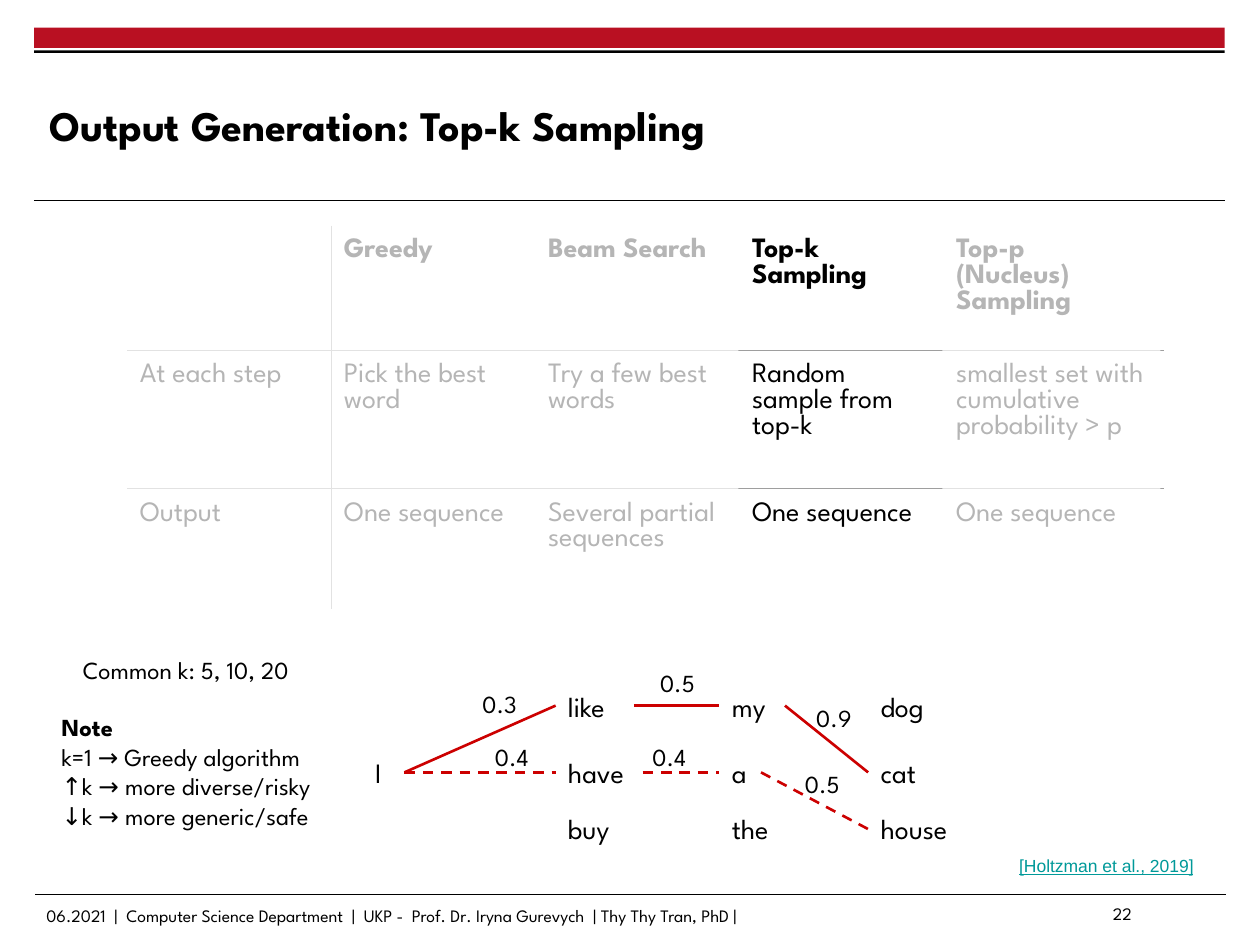
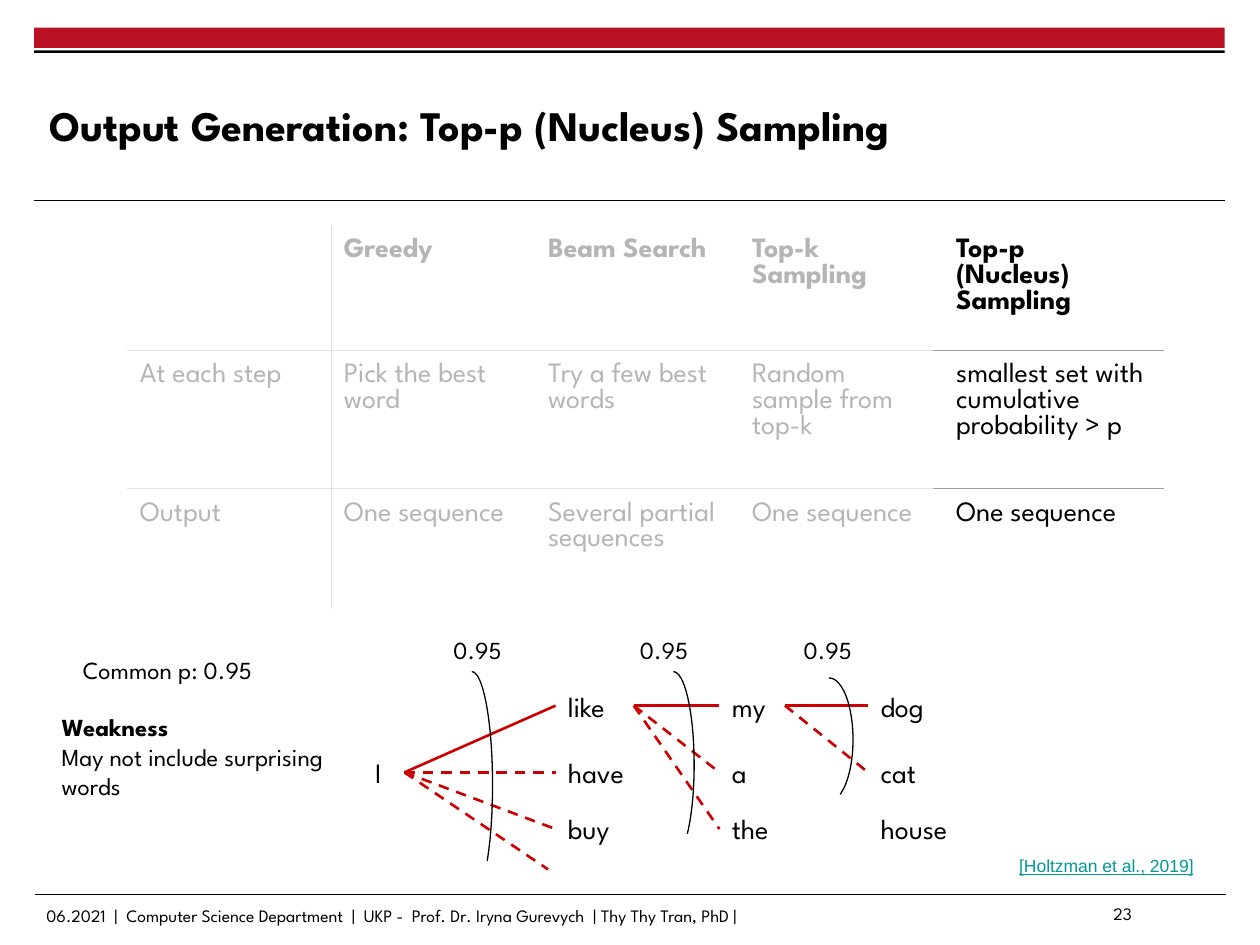
from dataclasses import dataclass

from lxml.etree import SubElement as Sub
from pptx import Presentation
from pptx.dml.color import RGBColor as RGB
from pptx.enum.dml import MSO_LINE as Dash
from pptx.enum.shapes import MSO_CONNECTOR as Conn, MSO_SHAPE as Shape
from pptx.enum.text import MSO_ANCHOR as Anchor, PP_ALIGN as Align
from pptx.oxml.ns import qn
from pptx.util import Inches, Pt


@dataclass(frozen=True)
class Theme:
    """Colours, fonts and type sizes of the deck."""
    ink: RGB = RGB(0, 0, 0)
    paper: RGB = RGB(255, 255, 255)
    band: RGB = RGB(0xB9, 0x10, 0x22)
    path_red: RGB = RGB(0xCC, 0, 0)
    cite: RGB = RGB(0, 0x99, 0x99)
    grid: str = "9E9E9E"
    face: str = "League Spartan"
    plain: str = "Arial"
    title: int = 24
    body: int = 16
    note: int = 14
    small: int = 10
    loose: float = 1.21
    tight: float = 0.92
    veil: int = 71


T = Theme()
FOOT = ("06.2021  |  Computer Science Department  |  UKP -  "
        "Prof. Dr. Iryna Gurevych  | Thy Thy Tran, PhD |")
COLS = [1.62] * 4 + [1.75]
ROWS = [0.99, 1.1, 0.95]
CELLS = [
    ["", "Greedy", "Beam Search", "Top-k Sampling", "Top-p\n(Nucleus) Sampling"],
    ["At each step", "Pick the best word", "Try a few best words",
     "Random sample from top-k", "smallest set with cumulative probability > p"],
    ["Output", "One sequence", "Several partial sequences", "One sequence",
     "One sequence"],
]
TOPS = [5.37, 5.89, 6.34]
WORDS = {
    4.41: [("like", 0.63), ("have", 0.7), ("buy", 0.57)],
    5.71: [("my", 0.52), ("a", 0.33), ("the", 0.73)],
    6.89: [("dog", 0.63), ("cat", 0.52), ("house", 0.88)],
}
HIGH, MID, LOW = 5.6, 6.13, 6.58
ROOT, LIKE, MY = (3.21, MID), (5.03, HIGH), (6.23, HIGH)


def box(at):
    """Turn a tuple of inches into lengths."""
    return [Inches(v) for v in at]


def style(para, size, bold=False, color=T.ink, face=T.face, ratio=T.loose):
    """Set the font and line height of a paragraph."""
    font = para.font
    font.name, font.size, font.bold = face, Pt(size), bold
    font.color.rgb = color
    if ratio:
        para.line_spacing = Pt(round(size * ratio, 1))


def text(slide, at, words, size, pad=(0.1, 0.1), head=False, **look):
    """Add a text box, with a bold first line if head is set."""
    frame = slide.shapes.add_textbox(*box(at)).text_frame
    frame.word_wrap = True
    frame.margin_left = frame.margin_right = Inches(pad[0])
    frame.margin_top = frame.margin_bottom = Inches(pad[1])
    frame.text = words
    for i, para in enumerate(frame.paragraphs):
        style(para, size, bold=head and i == 0, **look)
    return frame


def rect(slide, at, color, alpha=None):
    """Add a borderless rectangle, see-through if alpha is given."""
    item = slide.shapes.add_shape(Shape.RECTANGLE, *box(at))
    item.shadow.inherit = False
    item.line.fill.background()
    item.fill.solid()
    item.fill.fore_color.rgb = color
    if alpha:
        tint = item.fill._xPr.find(qn("a:solidFill"))[0]
        Sub(tint, qn("a:alpha"), val=str(alpha * 1000))


def line(slide, start, end, color=T.path_red, width=1.5, dash=False):
    """Add a straight line."""
    item = slide.shapes.add_connector(Conn.STRAIGHT, *box(start + end))
    Sub(item._element.spPr, qn("a:effectLst"))
    item.line.color.rgb = color
    item.line.width = Pt(width)
    if dash:
        item.line.dash_style = Dash.DASH


def arc(slide, at):
    """Add a thin arc that spans a set of branches."""
    item = slide.shapes.add_shape(Shape.ARC, *box(at))
    item.adjustments[0], item.adjustments[1] = 162, 47.115
    item.shadow.inherit = False
    item.fill.background()
    item.line.color.rgb = T.ink
    item.line.width = Pt(0.75)


def edges(cell, sides):
    """Draw the named sides of a cell and clear the others."""
    props = cell._tc.get_or_add_tcPr()
    for side in "LRTB":
        edge = Sub(props, qn(f"a:ln{side}"), w=str(Pt(0.75)))
        if side in sides:
            Sub(Sub(edge, qn("a:solidFill")), qn("a:srgbClr"), val=T.grid)
        else:
            Sub(edge, qn("a:noFill"))


def table(slide):
    """Add the table that compares the decoding methods."""
    size = (1.01, 1.79, sum(COLS), sum(ROWS))
    grid = slide.shapes.add_table(len(ROWS), len(COLS), *box(size)).table
    grid.first_row = grid.horz_banding = False
    for col, wide in zip(grid.columns, COLS):
        col.width = Inches(wide)
    for r, (row, tall) in enumerate(zip(grid.rows, ROWS)):
        row.height = Inches(tall)
        for c, cell in enumerate(row.cells):
            cell.margin_left = cell.margin_right = Inches(0.1)
            cell.margin_top = cell.margin_bottom = Inches(0.1)
            cell.text = CELLS[r][c]
            for para in cell.text_frame.paragraphs:
                style(para, T.body, bold=r == 0, ratio=T.tight)
            sides = ("T" if r else "") + ("B" if r < len(ROWS) - 1 else "")
            edges(cell, sides + {0: "R", 1: "L"}.get(c, ""))
            cell.fill.background()


def frame(slide, title, page):
    """Add the bands, rules, footer and title."""
    rect(slide, (0.27, 0.22, 9.45, 0.16), T.band)
    rect(slide, (0.27, 0.4, 9.45, 0.02), T.ink)
    for left, top in ((0.27, 1.59), (0.28, 7.1)):
        line(slide, (left, top), (left + 9.45, top), T.ink, 0.75)
    text(slide, (0.27, 7.13, 7.95, 0.27), FOOT, T.small, pad=(0.1, 0.05))
    num = text(slide, (8.06, 7.08, 1.02, 0.37), str(page), T.small)
    num.paragraphs[0].alignment = Align.RIGHT
    name = text(slide, (0.39, 0.53, 7.52, 0.92), title, T.title, (0, 0), True)
    name.vertical_anchor = Anchor.MIDDLE


def tree(slide, solid, dashed, marks):
    """Add the word tree with its branches and their weights."""
    text(slide, (2.88, TOPS[1], 0.33, 0.47), "I", T.body)
    for left, col in WORDS.items():
        for top, (word, wide) in zip(TOPS, col):
            text(slide, (left, top, wide, 0.47), word, T.body)
    for pairs, dash in ((solid, False), (dashed, True)):
        for start, end in pairs:
            line(slide, start, end, dash=dash)
    for left, top, mark in marks:
        text(slide, (left, top, 0.63, 0.44), mark, T.note)


def page(deck, num, title, veils, common, note):
    """Add a slide with everything but its tree."""
    slide = deck.slides.add_slide(deck.slide_layouts[6])
    frame(slide, title, num)
    table(slide)
    for at in veils:
        rect(slide, at, T.paper, T.veil)
    text(slide, (0.56, 5.1, 2.38, 0.44), common, T.note)
    text(slide, (0.39, 5.55, 2.38, 1.14), note, T.note, head=True)
    cite = text(slide, (7.99, 6.7, 1.71, 0.37), "[Holtzman et al., 2019]",
                T.small, color=T.cite, face=T.plain, ratio=None)
    cite.paragraphs[0].font.underline = True
    return slide


def main():
    """Build and save the deck."""
    deck = Presentation()
    deck.slide_width, deck.slide_height = Inches(10), Inches(7.5)

    top_k = page(
        deck, 22, "Output Generation: Top-k Sampling",
        [(7.48, 1.84, 1.73, 3.14), (0.88, 1.72, 4.98, 3.38)],
        "Common k: 5, 10, 20",
        "Note\nk=1 → Greedy algorithm\n↑k → more diverse/risky\n"
        "↓k → more generic/safe")
    tree(top_k,
         [(ROOT, (4.41, HIGH)), (LIKE, (5.71, HIGH)), (MY, (6.89, MID))],
         [(ROOT, (4.41, MID)), ((5.1, MID), (5.71, MID)),
          ((6.04, MID), (6.89, LOW))],
         [(3.73, 5.37, "0.3"), (5.14, 5.2, "0.5"), (6.38, 5.48, "0.9"),
          (3.83, 5.79, "0.4"), (5.08, 5.79, "0.4"), (6.29, 6, "0.5")])

    top_p = page(
        deck, 23, "Output Generation: Top-p (Nucleus) Sampling",
        [(0.88, 1.75, 6.53, 3.33)], "Common p: 0.95",
        "Weakness\nMay not include surprising words")
    tree(top_p,
         [(ROOT, (4.41, HIGH)), (LIKE, (5.71, HIGH)), (MY, (6.89, HIGH))],
         [(ROOT, (4.41, MID)), (ROOT, (4.41, LOW)), (ROOT, (4.35, 6.9)),
          (LIKE, (5.71, MID)), (LIKE, (5.71, LOW)), (MY, (6.89, MID))],
         [(left, 4.94, "0.95") for left in (3.5, 4.98, 6.28)])
    for at in ((3.58, 5.33, 0.33, 1.8), (5.18, 5.33, 0.33, 1.48),
               (6.39, 5.38, 0.38, 0.98)):
        arc(top_p, at)

    deck.save("out.pptx")


if __name__ == "__main__":
    main()
